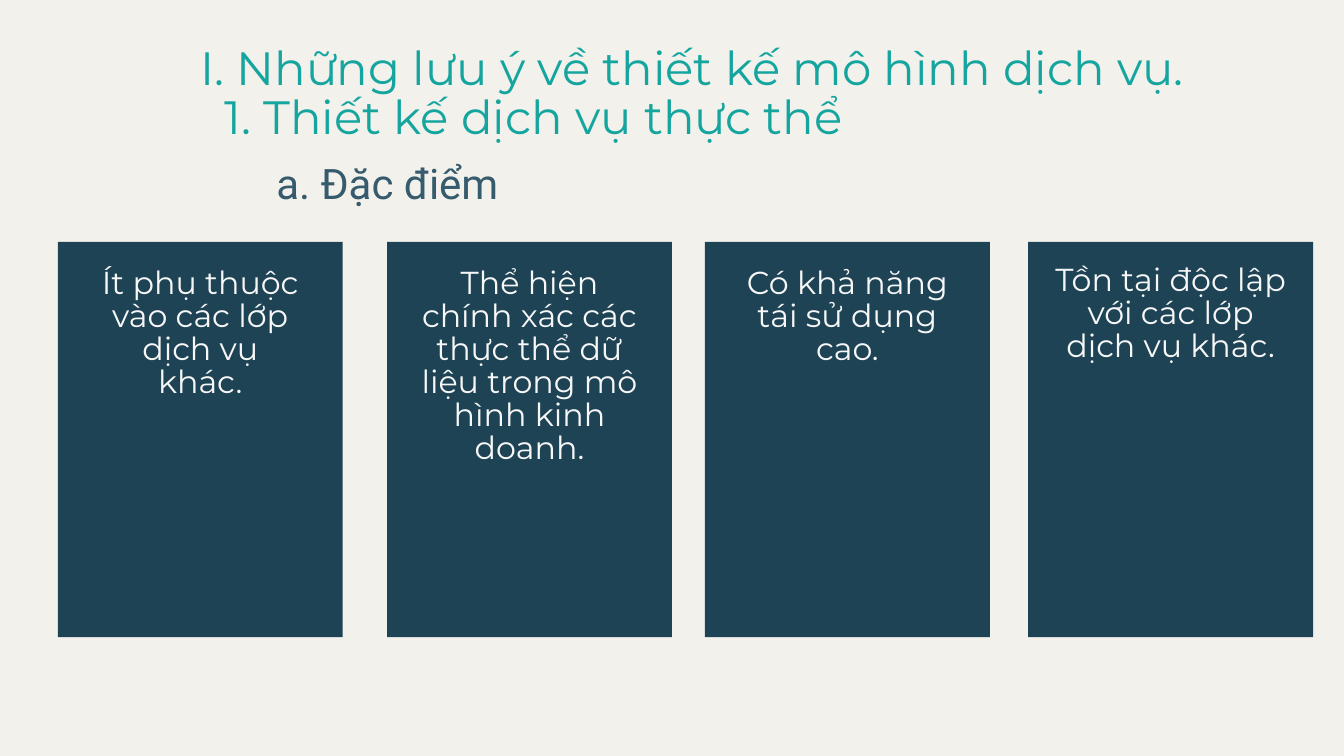
from pptx import Presentation, util as u
from pptx.dml.color import RGBColor
from pptx.enum import shapes, text

PX = u.Inches(1) // 100
COLORS = {"paper": "F2F1EC", "card": "1D4355", "title": "14A59F",
          "subtitle": "365B6D", "card_text": "F7F7F7"}
STYLES = {
    "title": {"name": "Montserrat", "size": u.Pt(50)},
    "subtitle": {"name": "Roboto", "size": u.Pt(45)},
    "card_text": {"name": "Montserrat", "size": u.Pt(34)},
}
LEADING = {"title": 52, "subtitle": 46.8, "card_text": 35.4}

TITLE = ["I. Những lưu ý về thiết kế mô hình dịch vụ.",
         "1. Thiết kế dịch vụ thực thể"]
TITLE_INDENT = 36
SUBTITLE = "a. Đặc điểm"
CARD_TOP, CARD_WIDTH, CARD_HEIGHT = 360, 424, 588
CARDS = [
    {"left": 86, "text_top": 398, "text_width": 298, "text_height": 198,
     "text": "Ít phụ thuộc vào các lớp dịch vụ khác."},
    {"left": 576, "text_top": 398, "text_width": 350, "text_height": 296,
     "text": "Thể hiện chính xác các thực thể dữ liệu trong mô hình kinh doanh."},
    {"left": 1049, "text_top": 398, "text_width": 350, "text_height": 149,
     "text": "Có khả năng tái sử dụng cao."},
    {"left": 1530, "text_top": 394, "text_width": 350, "text_height": 149,
     "text": "Tồn tại độc lập với các lớp dịch vụ khác."},
]


def px(*lengths):
    return [round(length * PX) for length in lengths]


def paint(fill, color):
    fill.solid()
    fill.fore_color.rgb = RGBColor.from_string(COLORS[color])


def write(box, lines, style, align):
    frame = box.text_frame
    settings = {"margin_left": 0, "margin_top": 0, "margin_right": 0,
                "margin_bottom": 0, "word_wrap": True,
                "auto_size": text.MSO_AUTO_SIZE.NONE,
                "vertical_anchor": text.MSO_ANCHOR.TOP}
    for key, value in settings.items():
        setattr(frame, key, value)
    frame.text = "\n".join(lines)
    for para in frame.paragraphs:
        para.alignment = align
        para.line_spacing = u.Pt(LEADING[style])
        para.space_before = u.Pt(0)
        for span in para.runs:
            for key, value in STYLES[style].items():
                setattr(span.font, key, value)
            span.font.color.rgb = RGBColor.from_string(COLORS[style])


def add_card(page, card):
    panel = page.shapes.add_shape(
        shapes.MSO_SHAPE.RECTANGLE,
        *px(card["left"], CARD_TOP, CARD_WIDTH, CARD_HEIGHT))
    panel.shadow.inherit = False
    paint(panel.fill, "card")
    panel.line.fill.background()
    text_left = card["left"] + (CARD_WIDTH - card["text_width"]) / 2
    box = page.shapes.add_textbox(
        *px(text_left, card["text_top"], card["text_width"], card["text_height"]))
    write(box, [card["text"]], "card_text", text.PP_ALIGN.CENTER)


def main():
    deck = Presentation()
    deck.slide_width, deck.slide_height = px(2000, 1125)
    page = deck.slides.add_slide(deck.slide_layouts[5])
    paint(page.background.fill, "paper")

    title = page.shapes.title
    title.left, title.top, title.width, title.height = px(298, 69, 1502, 148)
    write(title, TITLE, "title", text.PP_ALIGN.LEFT)
    numbered_line = title.text_frame.paragraphs[1]
    numbered_line._p.get_or_add_pPr().set("marL", str(TITLE_INDENT * PX))

    subtitle = page.shapes.add_textbox(*px(165, 244, 823, 66))
    write(subtitle, [SUBTITLE], "subtitle", text.PP_ALIGN.CENTER)

    for card in CARDS:
        add_card(page, card)
    deck.save("out.pptx")


if __name__ == "__main__":
    main()
